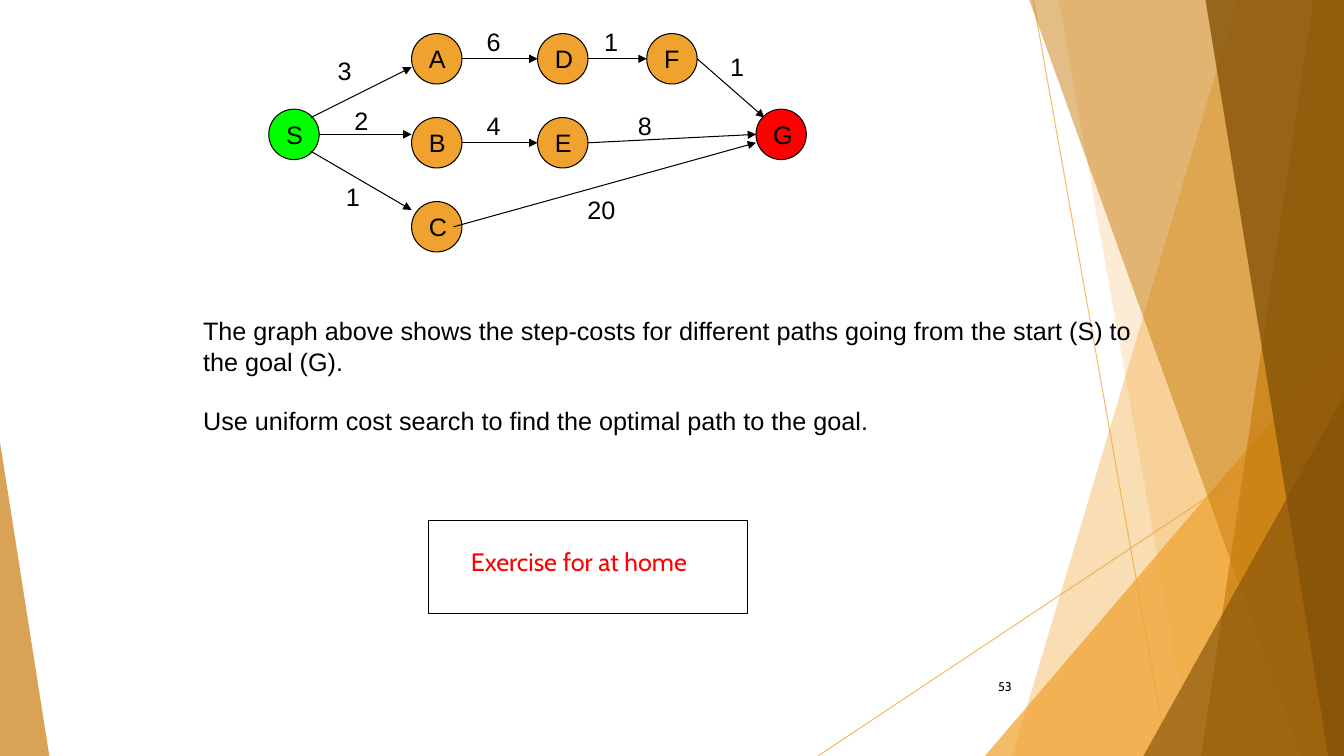
from lxml import etree
from pptx import Presentation
from pptx.dml.color import RGBColor
from pptx.enum.shapes import MSO_CONNECTOR, MSO_SHAPE
from pptx.enum.text import MSO_ANCHOR as Anchor, PP_ALIGN as Align
from pptx.oxml.ns import qn
from pptx.util import Emu, Pt

PX = 9525  # EMU per px, 96 px to the inch
WIDTH, HEIGHT = 1280, 720
NODE = 48
GOLD, AMBER, BROWN = "F0A22E", "C87D0E", "855309"
BLACK, RED, GREEN = "000000", "FF0000", "00FF00"

# Background bands: top left x, bottom left x, colour, opacity in percent
BACK_BANDS = [(1179, 964, GOLD, 36), (1008, 1136, GOLD, 20)]
FRONT_BANDS = [(980, 1239, AMBER, 50), (1251, 1144, AMBER, 70), (1148, 1265, BROWN, 80)]

# Graph nodes: left, top, fill
NODES = {
    "S": (256, 104, GREEN),
    "A": (392, 32, GOLD),
    "B": (392, 112, GOLD),
    "C": (392, 192, GOLD),
    "D": (512, 32, GOLD),
    "E": (512, 112, GOLD),
    "F": (616, 32, GOLD),
    "G": (720, 104, RED),
}

# Graph edges: start, end, step cost, left and top of the cost label
EDGES = [
    ((296, 112), (392, 64), "3", (312, 48)),
    ((304, 128), (392, 128), "2", (328, 96)),
    ((296, 144), (392, 200), "1", (320, 168)),
    ((440, 56), (512, 56), "6", (454, 20)),
    ((440, 136), (512, 136), "4", (454, 100)),
    ((432, 216), (720, 136), "20", (550, 180)),
    ((560, 136), (720, 128), "8", (598, 100)),
    ((560, 56), (616, 56), "1", (566, 20)),
    ((664, 56), (728, 112), "1", (686, 44)),
]

TASK = [
    "The graph above shows the step-costs for different paths going from the start (S) to",
    "the goal (G).",
    "Use uniform cost search to find the optimal path to the goal.",
]


def px(*lengths):
    return [Emu(length * PX) for length in lengths]


def paint(color_format, color, opacity=100):
    color_format.rgb = RGBColor.from_string(color)


def set_opacity(properties, opacity):
    for color in properties.iter(qn("a:srgbClr")):
        etree.SubElement(color, qn("a:alpha"), val=str(opacity * 1000))


def fill_plain(shape, color, opacity):
    shape.shadow.inherit = False
    shape.fill.solid()
    paint(shape.fill.fore_color, color)
    shape.line.fill.background()
    set_opacity(shape._element.spPr, opacity)


def outline(shape):
    shape.shadow.inherit = False
    shape.line.width = Pt(0.75)
    paint(shape.line.color, BLACK)


def style_text(frame, color=BLACK, font="Arial", size=18, align=Align.LEFT):
    for paragraph in frame.paragraphs:
        paragraph.alignment = align
        for run in paragraph.runs:
            run.font.name, run.font.size = font, Pt(size)
            paint(run.font.color, color)


def add_band(slide, top_x, bottom_x, color, opacity):
    builder = slide.shapes.build_freeform(top_x, -1, scale=PX)
    builder.add_line_segments([(WIDTH, -1), (WIDTH, HEIGHT), (bottom_x, HEIGHT)])
    fill_plain(builder.convert_to_shape(), color, opacity)


def add_corner(slide, left, top, width, apex, color, opacity):
    box = px(left, top, width, HEIGHT - top)
    triangle = slide.shapes.add_shape(MSO_SHAPE.ISOSCELES_TRIANGLE, *box)
    triangle.adjustments[0] = apex
    fill_plain(triangle, color, opacity)


def add_line(slide, start, end, color=BLACK, opacity=100, arrow=False):
    line = slide.shapes.add_connector(MSO_CONNECTOR.STRAIGHT, *px(*start, *end))
    line.line.width = Pt(0.75)
    paint(line.line.color, color)
    properties = line._element.spPr
    if opacity < 100:
        set_opacity(properties, opacity)
    if arrow:
        etree.SubElement(properties.find(qn("a:ln")), qn("a:tailEnd"), type="triangle")
    etree.SubElement(properties, qn("a:effectLst"))


def add_node(slide, name, left, top, color):
    node = slide.shapes.add_shape(MSO_SHAPE.OVAL, *px(left, top, NODE, NODE))
    node.fill.solid()
    paint(node.fill.fore_color, color)
    outline(node)
    node.text_frame.text = name
    node.text_frame.vertical_anchor = Anchor.MIDDLE
    style_text(node.text_frame, align=Align.CENTER)


def add_text(slide, text, box, wrap=False, **style):
    frame = slide.shapes.add_textbox(*px(*box)).text_frame
    frame.word_wrap = wrap
    frame.text = text
    style_text(frame, **style)
    return frame


def add_background(slide):
    add_line(slide, (984, 0), (1112, HEIGHT), GOLD, 70)
    add_line(slide, (WIDTH, 387), (779, HEIGHT), GOLD, 70)
    for band in BACK_BANDS:
        add_band(slide, *band)
    add_corner(slide, 938, 320, 342, 1, GOLD, 72)
    for band in FRONT_BANDS:
        add_band(slide, *band)
    add_corner(slide, 1089, 377, 191, 1, BROWN, 66)
    add_corner(slide, 0, 421, 47, 0, AMBER, 70)


def add_graph(slide):
    for name, node in NODES.items():
        add_node(slide, name, *node)
    for start, end, cost, label in EDGES:
        add_line(slide, start, end, arrow=True)
        add_text(slide, cost, (*label, 20 + 13 * len(cost), 38))


def main():
    presentation = Presentation()
    presentation.slide_width, presentation.slide_height = px(WIDTH, HEIGHT)
    slide = presentation.slides.add_slide(presentation.slide_layouts[6])

    add_background(slide)

    # Slide number
    number = add_text(slide, "53", (901, 635, 72, 38), wrap=True,
                      font="Cabin", size=9, align=Align.RIGHT)
    number.vertical_anchor = Anchor.MIDDLE

    add_graph(slide)

    # Task, with a gap before the instruction
    task = add_text(slide, "\n".join(TASK), (184, 296, 910, 182), wrap=True)
    task.paragraphs[-1].space_before = Pt(21)

    # Framed exercise note
    add_text(slide, "Exercise for at home", (439, 516, 237, 38), color=RED, font="Cabin")
    frame = slide.shapes.add_shape(MSO_SHAPE.RECTANGLE, *px(408, 496, 304, 88))
    frame.fill.background()
    outline(frame)

    presentation.save("out.pptx")


if __name__ == "__main__":
    main()
